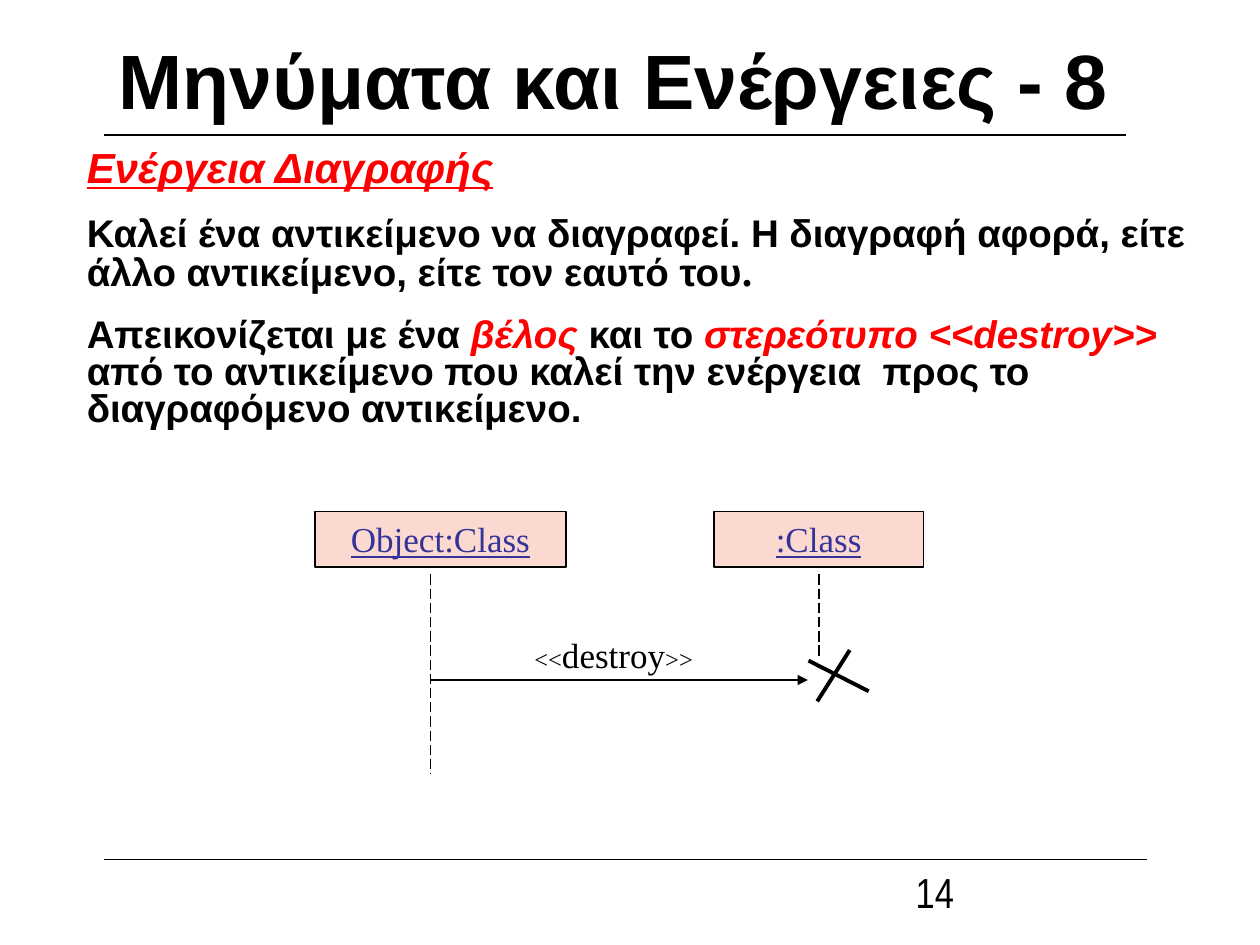
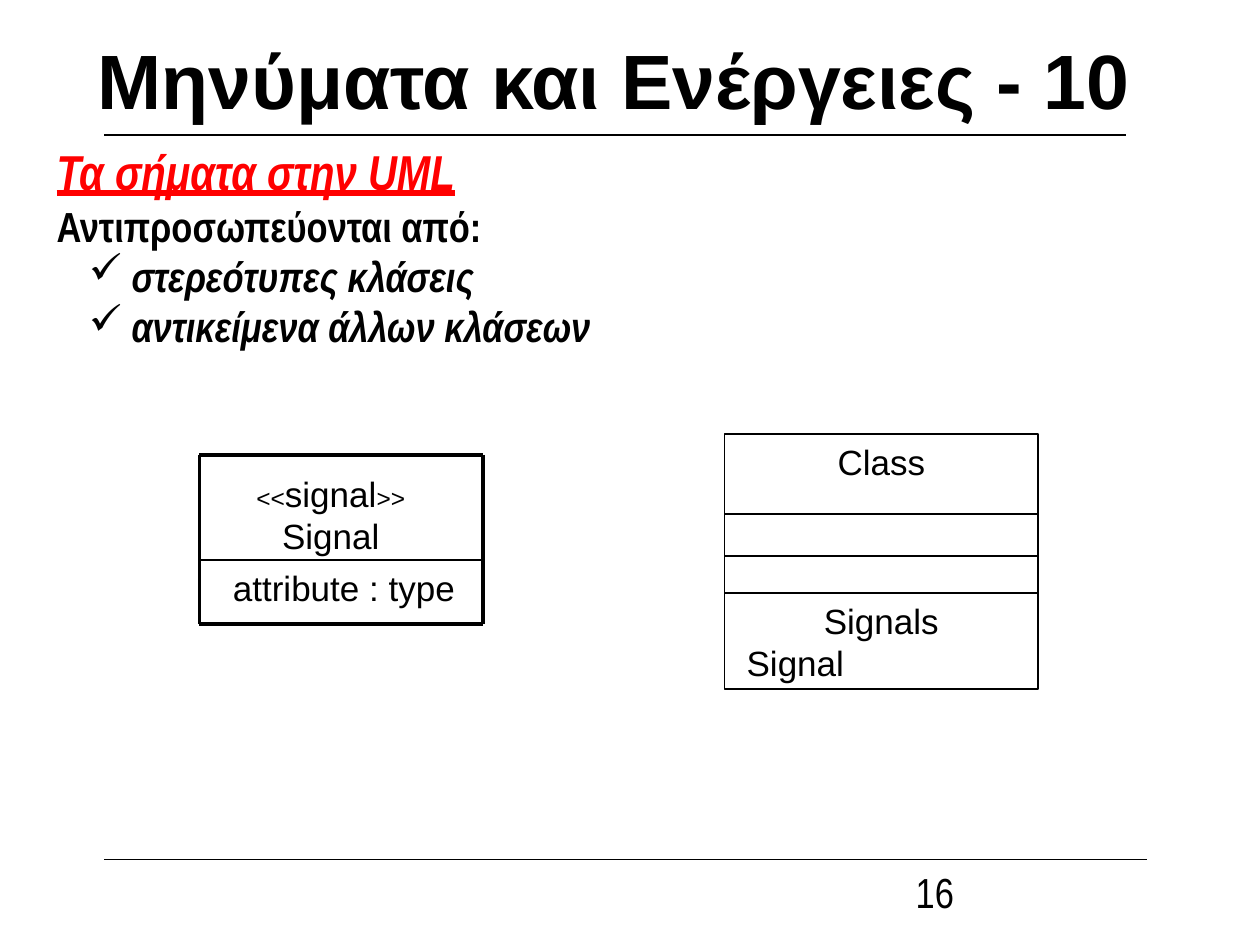
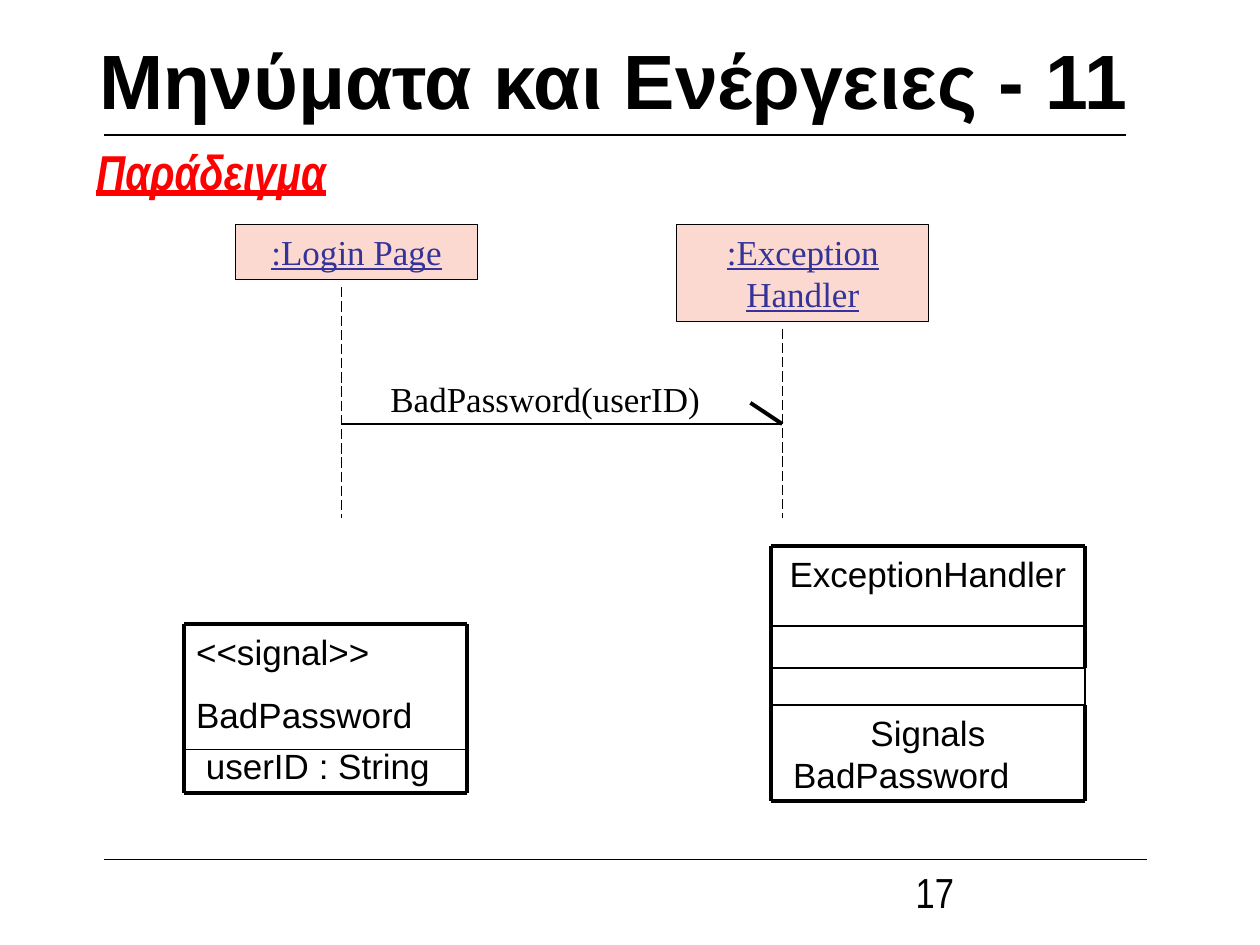
from itertools import accumulate

from lxml import etree
from pptx import Presentation
from pptx.dml.color import RGBColor
from pptx.enum.dml import MSO_LINE
from pptx.enum.shapes import MSO_CONNECTOR, MSO_SHAPE
from pptx.enum.text import MSO_ANCHOR, PP_ALIGN
from pptx.oxml.ns import qn
from pptx.util import Pt

LEFT, CENTER = PP_ALIGN.LEFT, PP_ALIGN.CENTER
TOP, MIDDLE = MSO_ANCHOR.TOP, MSO_ANCHOR.MIDDLE
RECT, STRAIGHT = MSO_SHAPE.RECTANGLE, MSO_CONNECTOR.STRAIGHT
LONG_DASH = MSO_LINE.LONG_DASH

BLACK, RED, PINK, INDIGO = "000000", "FF0000", "FCD9D0", "333399"
ARIAL, NARROW, TIMES = "Arial", "Arial Narrow", "Times New Roman"
THIN, FINE, THICK = 0.75, 1, 2.25
HEADING = (28, NARROW, RED, "biu")
PLAIN = (20, ARIAL)
LABEL = (20, TIMES)


def rgb(value):
    return RGBColor.from_string(value)


# Text helpers: a run is (text, size, font, colour, style letters b/i/u)
def add_run(p, text, size, font, color=BLACK, style=""):
    r = p.add_run()
    r.text = text
    r.font.size, r.font.name = Pt(size), font
    r.font.color.rgb = rgb(color)
    r.font.bold, r.font.italic = "b" in style, "i" in style
    r.font.underline = "u" in style


def para(*runs, align=LEFT, before=0, spacing=None, bullet=None):
    return runs, align, before, spacing, bullet


def add_bullet(p, char):
    p.level = 1
    pPr = p._p.get_or_add_pPr()
    pPr.set("marL", str(Pt(35)))
    pPr.set("indent", str(Pt(-16.5)))
    color = etree.SubElement(pPr, qn("a:buClr"))
    etree.SubElement(color, qn("a:srgbClr"), val=BLACK)
    etree.SubElement(pPr, qn("a:buChar"), char=char)


def fill_text(sp, paras, anchor=TOP):
    tf = sp.text_frame
    tf.word_wrap = True
    tf.vertical_anchor = anchor
    for i, (runs, align, before, spacing, bullet) in enumerate(paras):
        p = tf.add_paragraph() if i else tf.paragraphs[0]
        p.alignment, p.space_before = align, Pt(before)
        if spacing:
            p.line_spacing = spacing
        if bullet:
            add_bullet(p, bullet)
        for run in runs:
            add_run(p, *run)


def add_text(s, x, y, w, h, *paras, anchor=TOP):
    fill_text(s.shapes.add_textbox(Pt(x), Pt(y), Pt(w), Pt(h)), paras, anchor)


# Shape helpers
def add_rect(s, x, y, w, h, *paras, fill=None, width=THIN):
    sp = s.shapes.add_shape(RECT, Pt(x), Pt(y), Pt(w), Pt(h))
    sp.shadow.inherit = False
    if fill:
        sp.fill.solid()
        sp.fill.fore_color.rgb = rgb(fill)
    else:
        sp.fill.background()
    sp.line.color.rgb, sp.line.width = rgb(BLACK), Pt(width)
    fill_text(sp, paras)


def add_line(s, x1, y1, x2, y2, width=THIN, dash=None, arrow=False):
    c = s.shapes.add_connector(STRAIGHT, Pt(x1), Pt(y1), Pt(x2), Pt(y2))
    c.line.color.rgb, c.line.width = rgb(BLACK), Pt(width)
    if dash:
        c.line.dash_style = dash
    spPr = c._element.spPr
    if arrow:
        etree.SubElement(spPr.get_or_add_ln(), qn("a:tailEnd"), type="triangle")
    etree.SubElement(spPr, qn("a:effectLst"))


# Title, rules and page number shared by all slides
def new_slide(prs, part, page):
    s = prs.slides.add_slide(prs.slide_layouts[6])
    title = f"Μηνύματα και Ενέργειες - {part}"
    add_text(s, 36, -11.5, 630, 113,
             para((title, 44, ARIAL, BLACK, "b"), align=CENTER), anchor=MIDDLE)
    add_line(s, 59.5, 77.2, 643.7, 77.2)
    add_line(s, 59.5, 491.2, 655.2, 491.2)
    add_text(s, 516.2, 491.8, 167, 36.7, para((str(page), 24, NARROW)))
    return s


# Object box of a sequence diagram, with its dashed lifeline
def object_box(s, x, y, w, h, name, life_x, life_h):
    add_rect(s, x, y, w, h, fill=PINK,
             *[para((name, 20, TIMES, INDIGO, "u"), align=CENTER, before=12.5)])
    life_y = y + h + 4.3
    add_line(s, life_x, life_y, life_x, life_y + life_h, dash=LONG_DASH)


# Signal box: thick frame, header and attribute around a divider
def signal_box(s, x, y, divider, divider_width, header, attribute):
    w, h = 162, 96.8
    (hx, hy, hw, hh), paras = header
    (ax, ay), attribute_text = attribute
    add_text(s, x + hx, y + hy, hw, hh, *paras)
    add_text(s, x + ax, y + ay, w, 31, para((attribute_text, *PLAIN)))
    for edge in (y, y + h):
        add_line(s, x, edge, x + w, edge, THICK)
    for edge in (x, x + w):
        add_line(s, edge, y, edge, y + h, THICK)
    add_line(s, x, y + divider, x + w, y + divider, divider_width)


# Class box: name, two empty compartments and the list of signals
def class_box(s, x, y, name, signal, outer, framed):
    w, heights = 179.3, (45.6, 24, 21.2, 54.8)
    edges = list(accumulate(heights, initial=y))
    texts = ([para((name, *PLAIN), align=CENTER)], [], [],
             [para(("Signals", *PLAIN), align=CENTER),
              para((" " + signal, *PLAIN))])
    for top, h, paras in zip(edges, heights, texts):
        if framed:
            add_rect(s, x, top, w, h, *paras, width=FINE)
        elif paras:
            add_text(s, x, top, w, h, *paras)
    for edge in edges:
        width = outer if edge in (edges[0], edges[-1]) else FINE
        add_line(s, x, edge, x + w, edge, width)
    add_line(s, x, edges[0], x, edges[-1], outer)
    for first, last, width in ((0, 2, outer), (2, 3, FINE), (3, 4, outer)):
        add_line(s, x + w, edges[first], x + w, edges[last], width)


def destroy_slide(prs):
    s = new_slide(prs, 8, 14)
    strong, accent = (22, ARIAL, BLACK, "b"), (22, ARIAL, RED, "bi")
    add_text(
        s, 42.5, 82.8, 658, 167,
        para(("Ενέργεια Διαγραφής", 24, ARIAL, RED, "biu"),
             before=15, spacing=0.8),
        para(("Καλεί ένα αντικείμενο να διαγραφεί. Η διαγραφή αφορά, "
              "είτε άλλο αντικείμενο, είτε τον εαυτό του", *strong),
             (".", 24, TIMES, BLACK, "b"), before=15, spacing=0.8),
        para(("Απεικονίζεται με ένα ", *strong), ("βέλος ", *accent),
             ("και το ", *strong), ("στερεότυπο <<destroy>>", *accent),
             (" από το αντικείμενο που καλεί την ενέργεια  προς το "
              "διαγραφόμενο αντικείμενο.", *strong),
             before=13.8, spacing=0.8))

    # Sequence diagram
    object_box(s, 180, 292.4, 143.5, 31.6, "Object:Class", 246, 114)
    object_box(s, 408, 292.4, 119.6, 31.6, ":Class", 468, 48)
    add_line(s, 246, 388.6, 461.7, 388.6, arrow=True)
    add_text(s, 270, 358.6, 161.3, 31.6,
             para(("<<", 14, TIMES), ("destroy", *LABEL), (">>", 14, TIMES),
                  align=CENTER, before=8.8))

    # Deletion cross
    add_line(s, 462, 377.5, 496.4, 395, THICK)
    add_line(s, 485.6, 371.5, 467, 400.8, THICK)


def signals_slide(prs):
    s = new_slide(prs, 10, 16)
    item = (24, NARROW, BLACK, "bi")
    add_text(
        s, 25.2, 77.2, 669, 127.4,
        para(("Τα σήματα στην UML", *HEADING)),
        para(("Αντιπροσωπεύονται από:", 24, NARROW, BLACK, "b")),
        para((" στερεότυπες κλάσεις", *item), bullet="✓"),
        para((" αντικείμενα άλλων κλάσεων", *item), bullet="✓"))
    header = [para(("<<", 14, ARIAL), ("signal", *PLAIN), (">>", 14, ARIAL),
                   align=CENTER),
              para(("Signal", *PLAIN), align=CENTER)]
    signal_box(s, 114, 260, 60.2, FINE, ((-6, 6.4, 162, 66), header),
               ((12, 60.2), "attribute : type"))
    class_box(s, 414, 248.2, "Class", "Signal", FINE, framed=True)


def example_slide(prs):
    s = new_slide(prs, 11, 17)
    add_text(s, 48, 77.2, 232.6, 41, para(("Παράδειγμα", *HEADING)))
    class_box(s, 440.6, 312, "ExceptionHandler", "BadPassword", THICK,
              framed=False)
    header = [para((text, *PLAIN), before=12.5)
              for text in ("<<signal>>", "BadPassword")]
    signal_box(s, 105, 356.5, 72, THIN, ((0, 0, 174, 67.7), header),
               ((0, 65.4), " userID : String"))

    # Sequence diagram with a half arrowhead
    object_box(s, 386.8, 128.2, 144, 55.4, ":Exception Handler", 447, 108)
    object_box(s, 134.8, 128.2, 138, 31.6, ":Login Page", 195, 132)
    add_text(s, 206.6, 212.4, 210, 31.6,
             para(("BadPassword(userID)", *LABEL), align=CENTER, before=12.5))
    add_line(s, 195, 242.3, 447, 242.3)
    add_line(s, 428.8, 230.2, 447, 242.3, THICK)


def main():
    prs = Presentation()
    prs.slide_width, prs.slide_height = Pt(720), Pt(540)
    destroy_slide(prs)
    signals_slide(prs)
    example_slide(prs)
    prs.save("out.pptx")


if __name__ == "__main__":
    main()
